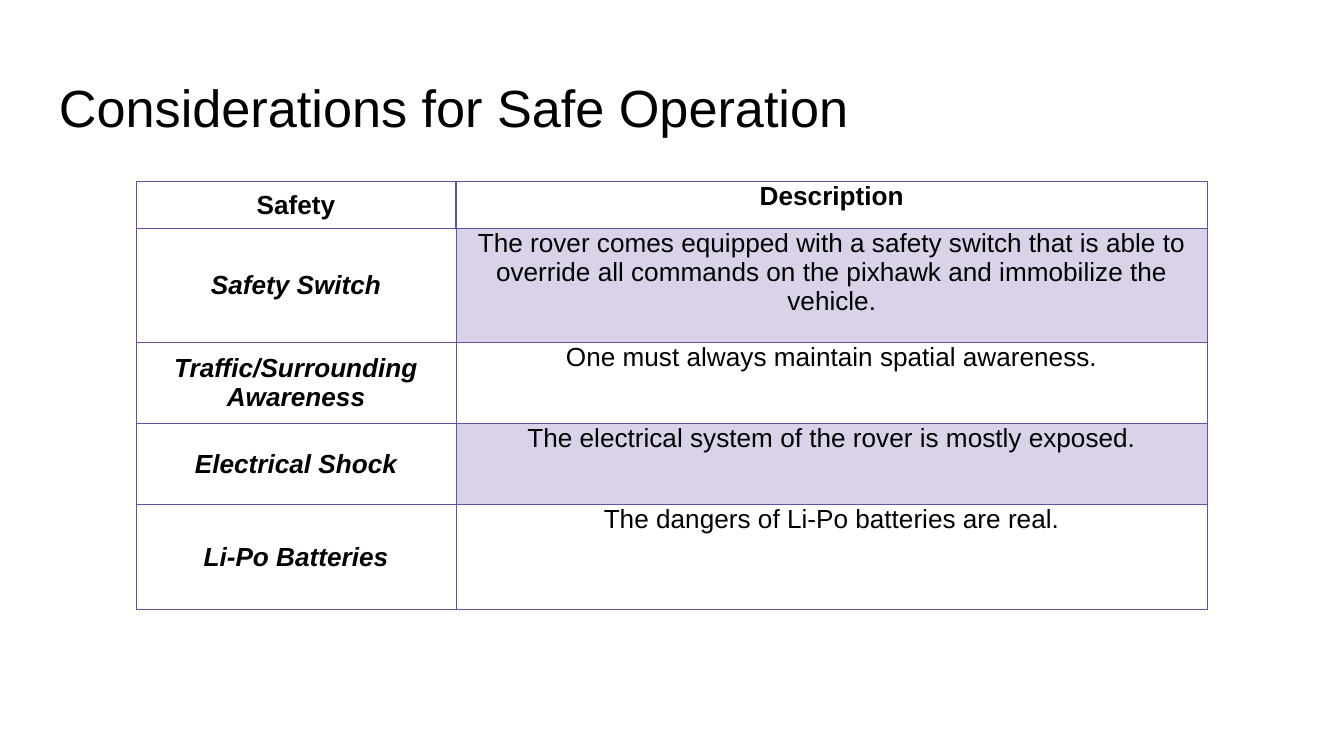
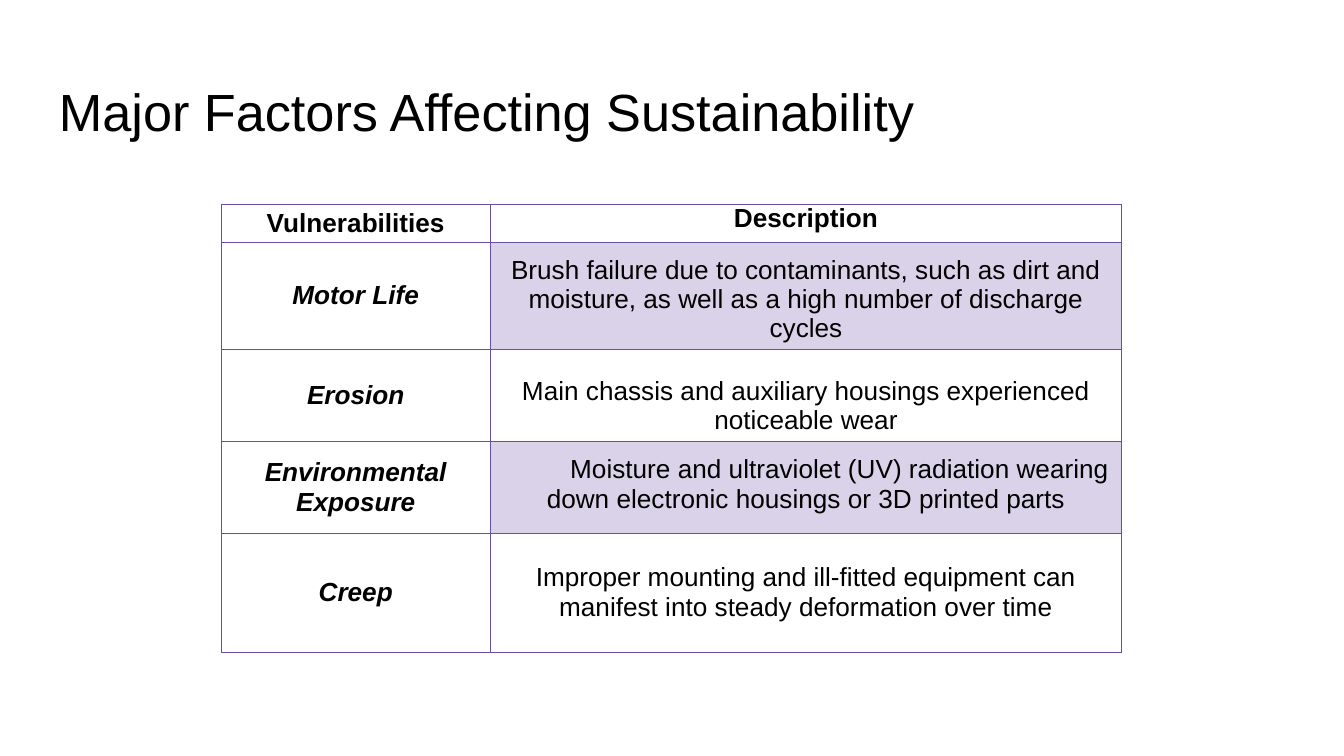
from dataclasses import dataclass
from lxml import etree
from pptx import Presentation
from pptx.dml.color import RGBColor
from pptx.enum.text import MSO_ANCHOR, PP_ALIGN
from pptx.oxml.ns import qn
from pptx.util import Pt

TOP, MIDDLE = MSO_ANCHOR.TOP, MSO_ANCHOR.MIDDLE
LEFT, CENTER = PP_ALIGN.LEFT, PP_ALIGN.CENTER

SLIDES = [
    {
        "title": "Considerations for Safe Operation",
        "title_top": 33.1,
        "at": (72.9, 97.2),
        "cols": (171.4, 402.6),
        "heights": (25.2, 61.2, 43.4, 43.4, 56.2),
        "rows": [
            ("Safety", "Description"),
            ("Safety Switch",
             "The rover comes equipped with a safety switch that is able to "
             "override all commands on the pixhawk and immobilize the vehicle."),
            ("Traffic/Surrounding Awareness",
             "One must always maintain spatial awareness."),
            ("Electrical Shock",
             "The electrical system of the rover is mostly exposed."),
            ("Li-Po Batteries", "The dangers of Li-Po batteries are real."),
        ],
        "pads": {},
        "indents": {},
    },
    {
        "title": "Major Factors Affecting Sustainability",
        "title_top": 35.5,
        "at": (118.6, 109.3),
        "cols": (144, 338.4),
        "heights": (20.4, 49.2, 49.2, 49.2, 63.8),
        "rows": [
            ("Vulnerabilities", "Description"),
            ("Motor Life",
             "Brush failure due to contaminants, such as dirt and moisture, "
             "as well as a high number of discharge cycles"),
            ("Erosion",
             "Main chassis and auxiliary housings experienced noticeable wear"),
            ("Environmental Exposure",
             "Moisture and ultraviolet (UV) radiation wearing down electronic "
             "housings or 3D printed parts"),
            ("Creep",
             "Improper mounting and ill-fitted equipment can manifest into "
             "steady deformation over time"),
        ],
        "pads": {1: 7.2, 2: 14.4, 3: 7.2, 4: 16},
        "indents": {3: 36},
    },
]


@dataclass(frozen=True)
class Theme:
    font: str = "Arial"
    ink: str = "000000"
    plain: str = "FFFFFF"
    tint: str = "D9D2E9"
    rule: str = "674EA7"
    head: float = 28
    body: float = 14
    thin: float = 0.5
    thick: float = 0.75


THEME = Theme()


def style(para, size, align, bold=False, italic=False):
    para.alignment = align
    font = para.font
    font.name, font.size = THEME.font, Pt(size)
    font.bold, font.italic = bold, italic
    font.color.rgb = RGBColor.from_string(THEME.ink)


def add_title(slide, text, top):
    frame = slide.shapes.add_textbox(Pt(24.5), Pt(top), Pt(671), Pt(45.4)).text_frame
    frame.word_wrap = True
    frame.vertical_anchor = TOP
    frame.margin_left = frame.margin_right = Pt(7.2)
    frame.margin_top = frame.margin_bottom = Pt(7.2)
    frame.text = text
    style(frame.paragraphs[0], THEME.head, LEFT)


def add_edge(cell, side, width):
    props = cell._tc.get_or_add_tcPr()
    line = etree.SubElement(props, qn(f"a:ln{side}"), w=str(Pt(width)))
    fill = etree.SubElement(line, qn("a:solidFill"))
    etree.SubElement(fill, qn("a:srgbClr"), val=THEME.rule)


def fill_cell(cell, text, row, col, pad, indent):
    inner = "L" if col else "R"
    for side in "LRTB":
        add_edge(cell, side, THEME.thick if row == 0 and side == inner else THEME.thin)
    cell.fill.solid()
    shade = THEME.tint if col and row % 2 else THEME.plain
    cell.fill.fore_color.rgb = RGBColor.from_string(shade)
    cell.vertical_anchor = TOP if col else MIDDLE
    cell.margin_left = cell.margin_right = Pt(5)
    cell.margin_top, cell.margin_bottom = Pt(pad), Pt(0)
    cell.text = text
    para = cell.text_frame.paragraphs[0]
    para.space_after = Pt(6)
    if indent:
        para._p.get_or_add_pPr().set("indent", str(Pt(indent)))
    style(para, THEME.body, CENTER, row == 0 or col == 0, row > 0 and col == 0)


def add_grid(slide, data):
    rows, cols, heights = data["rows"], data["cols"], data["heights"]
    left, top = data["at"]
    table = slide.shapes.add_table(
        len(rows), len(cols), Pt(left), Pt(top), Pt(sum(cols)), Pt(sum(heights))
    ).table
    table.first_row = table.horz_banding = False
    for col, width in enumerate(cols):
        table.columns[col].width = Pt(width)
    for row, texts in enumerate(rows):
        table.rows[row].height = Pt(heights[row])
        for col, text in enumerate(texts):
            pad = data["pads"].get(row, 0) if col else 0
            indent = data["indents"].get(row, 0) if col else 0
            fill_cell(table.cell(row, col), text, row, col, pad, indent)


def main():
    deck = Presentation()
    deck.slide_width, deck.slide_height = Pt(720), Pt(405)
    for data in SLIDES:
        slide = deck.slides.add_slide(deck.slide_layouts[6])
        add_title(slide, data["title"], data["title_top"])
        add_grid(slide, data)
    deck.save("out.pptx")


if __name__ == "__main__":
    main()
